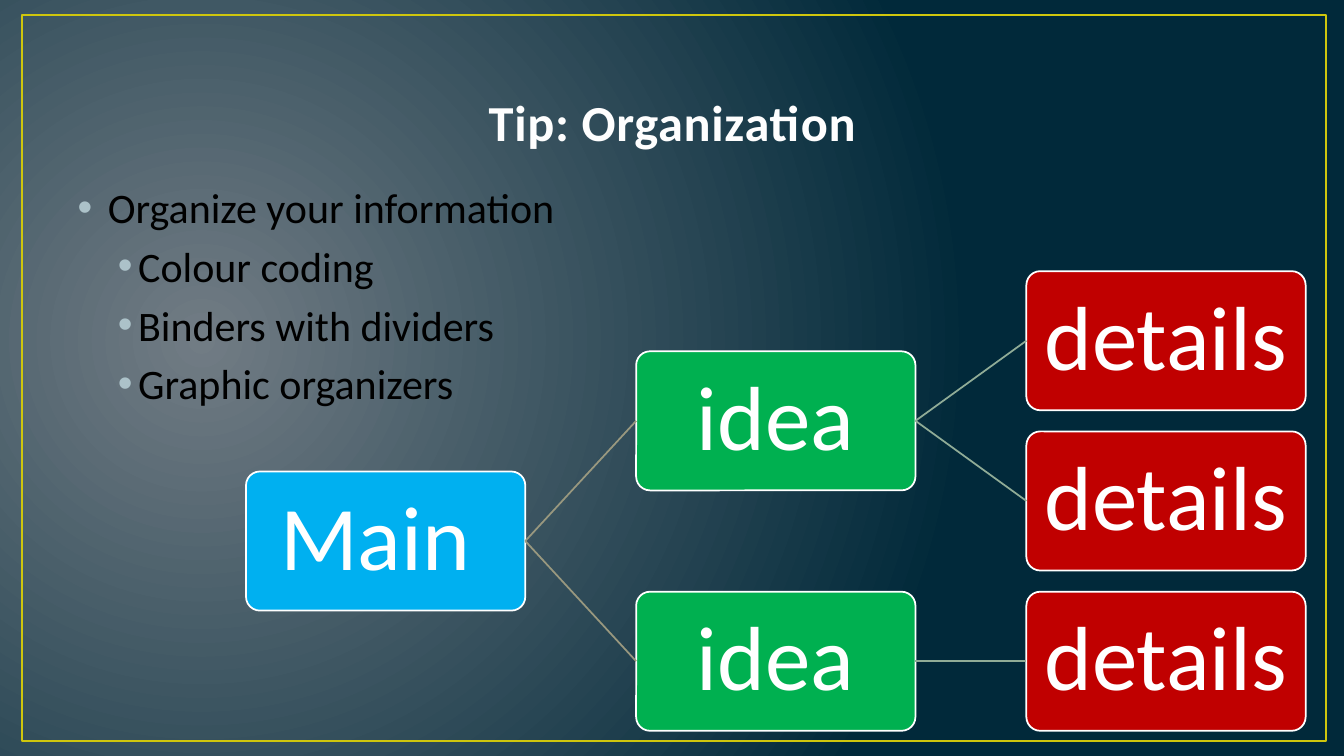
from lxml import etree
from pptx import Presentation
from pptx.dml.color import RGBColor
from pptx.enum.shapes import MSO_CONNECTOR, MSO_SHAPE
from pptx.enum.text import MSO_ANCHOR, MSO_AUTO_SIZE, PP_ALIGN
from pptx.oxml import parse_xml
from pptx.oxml.ns import nsdecls, qn
from pptx.util import Inches, Pt

CENTER = PP_ALIGN.CENTER
MIDDLE, BOTTOM = MSO_ANCHOR.MIDDLE, MSO_ANCHOR.BOTTOM
ROUNDED, RECTANGLE = MSO_SHAPE.ROUNDED_RECTANGLE, MSO_SHAPE.RECTANGLE
STRAIGHT = MSO_CONNECTOR.STRAIGHT

TITLE = "Tip: Organization"
TIPS = [
    (0, "Organize your information"),
    (1, "Colour coding"),
    (1, "Binders with dividers"),
    (1, "Graphic organizers"),
]
ORGANIZER = ("Main ", [
    ("idea", [("details", []), ("details", [])]),
    ("idea", [("details", [])]),
])

FONT = "Calibri"
COLORS = {
    "glow": "717C84", "night": "01293A", "frame": "CFC60D",
    "title": "FEFEFE", "tips": "000000", "bullet": "ACC2C9", "white": "FFFFFF",
}
NODE_FILLS = ["00B0F0", "00B050", "C00000"]
LINK_COLORS = ["99987F", "90AC97"]
TIP_INDENTS = [(0.3, -0.3), (0.6, -0.2)]

TREE_LEFT, TREE_TOP = 2.44, 2.69
NODE_W, NODE_H = 2.77, 1.38
COLUMN_STEP, ROW_STEP = 3.87, 1.59


def rgb(color):
    return RGBColor.from_string(color)


def style_text(paragraph, size, color, bold=False):
    for run in paragraph.runs:
        run.font.name = FONT
        run.font.size = Pt(size)
        run.font.bold = bold
        run.font.color.rgb = rgb(color)


def style_line(item, color, width):
    item.line.color.rgb = rgb(color)
    item.line.width = Pt(width)


def place(item, left, top, width, height):
    item.left, item.top = Inches(left), Inches(top)
    item.width, item.height = Inches(width), Inches(height)


def paint_background(slide):
    background = parse_xml(
        f'<p:bg {nsdecls("p", "a")}><p:bgPr><a:gradFill rotWithShape="1"><a:gsLst>'
        f'<a:gs pos="0"><a:srgbClr val="{COLORS["glow"]}"/></a:gs>'
        f'<a:gs pos="100000"><a:srgbClr val="{COLORS["night"]}"/></a:gs></a:gsLst>'
        '<a:path path="circle"><a:fillToRect l="15000" t="50000" r="85000" b="60000"/></a:path>'
        '</a:gradFill><a:effectLst/></p:bgPr></p:bg>')
    slide.element.cSld.insert(0, background)


def add_frame(slide):
    frame = slide.shapes.add_shape(
        RECTANGLE, Inches(0.22), Inches(0.15), Inches(12.93), Inches(7.2))
    frame.shadow.inherit = False
    frame.fill.background()
    style_line(frame, COLORS["frame"], 1.5)


def fill_title(title):
    place(title, 0.67, 0.3, 12, 1.25)
    title.text_frame.text = TITLE
    title.text_frame.vertical_anchor = BOTTOM
    title.text_frame.auto_size = MSO_AUTO_SIZE.NONE
    heading = title.text_frame.paragraphs[0]
    heading.alignment = CENTER
    style_text(heading, 36, COLORS["title"], bold=True)
    heading.runs[0].font._element.set("spc", "50")


def fill_tips(body):
    place(body, 0.67, 1.75, 12, 4.95)
    frame = body.text_frame
    frame.text = "\n".join(text for _, text in TIPS)
    frame.auto_size = MSO_AUTO_SIZE.NONE
    for tip, (level, _) in zip(frame.paragraphs, TIPS):
        tip.level = level
        tip.space_before = Pt(6)
        style_text(tip, 30, COLORS["tips"])
        margin, indent = TIP_INDENTS[level]
        properties = tip._p.get_or_add_pPr()
        properties.set("marL", str(Inches(margin)))
        properties.set("indent", str(Inches(indent)))
        bullet_color = etree.SubElement(properties, qn("a:buClr"))
        etree.SubElement(bullet_color, qn("a:srgbClr")).set("val", COLORS["bullet"])
        etree.SubElement(properties, qn("a:buFont")).set("typeface", "Arial")
        etree.SubElement(properties, qn("a:buChar")).set("char", "•")


def add_node(slide, label, depth, top):
    node = slide.shapes.add_shape(
        ROUNDED, Inches(TREE_LEFT + depth * COLUMN_STEP), Inches(top),
        Inches(NODE_W), Inches(NODE_H))
    node.adjustments[0] = 0.1
    node.shadow.inherit = False
    node.fill.solid()
    node.fill.fore_color.rgb = rgb(NODE_FILLS[depth])
    style_line(node, COLORS["white"], 1.25)
    frame = node.text_frame
    frame.margin_left = frame.margin_right = Inches(0.05)
    frame.margin_top = frame.margin_bottom = Inches(0.05)
    frame.vertical_anchor = MIDDLE
    frame.text = label
    frame.paragraphs[0].alignment = CENTER
    frame.paragraphs[0].line_spacing = 0.9
    style_text(frame.paragraphs[0], 65, COLORS["white"])
    return node


def add_link(slide, parent, child, color):
    link = slide.shapes.add_connector(STRAIGHT, 0, 0, 0, 0)
    link.begin_connect(parent, 3)
    link.end_connect(child, 1)
    style_line(link, color, 1.25)
    etree.SubElement(link._element.spPr, qn("a:effectLst"))


def add_branch(slide, branch, depth=0, row=0):
    label, children = branch
    nodes, next_row = [], row
    for child in children:
        node, next_row = add_branch(slide, child, depth + 1, next_row)
        nodes.append(node)
    if nodes:
        top = (nodes[0].top + nodes[-1].top) / 2 / Inches(1)
    else:
        top = TREE_TOP + row * ROW_STEP
        next_row = row + 1
    parent = add_node(slide, label, depth, top)
    for node in nodes:
        add_link(slide, parent, node, LINK_COLORS[depth])
    return parent, next_row


def main():
    deck = Presentation()
    deck.slide_width, deck.slide_height = Inches(13.33), Inches(7.5)
    slide = deck.slides.add_slide(deck.slide_layouts[1])
    paint_background(slide)
    add_frame(slide)
    fill_title(slide.shapes.title)
    fill_tips(slide.placeholders[1])
    add_branch(slide, ORGANIZER)
    deck.save("out.pptx")


if __name__ == "__main__":
    main()
